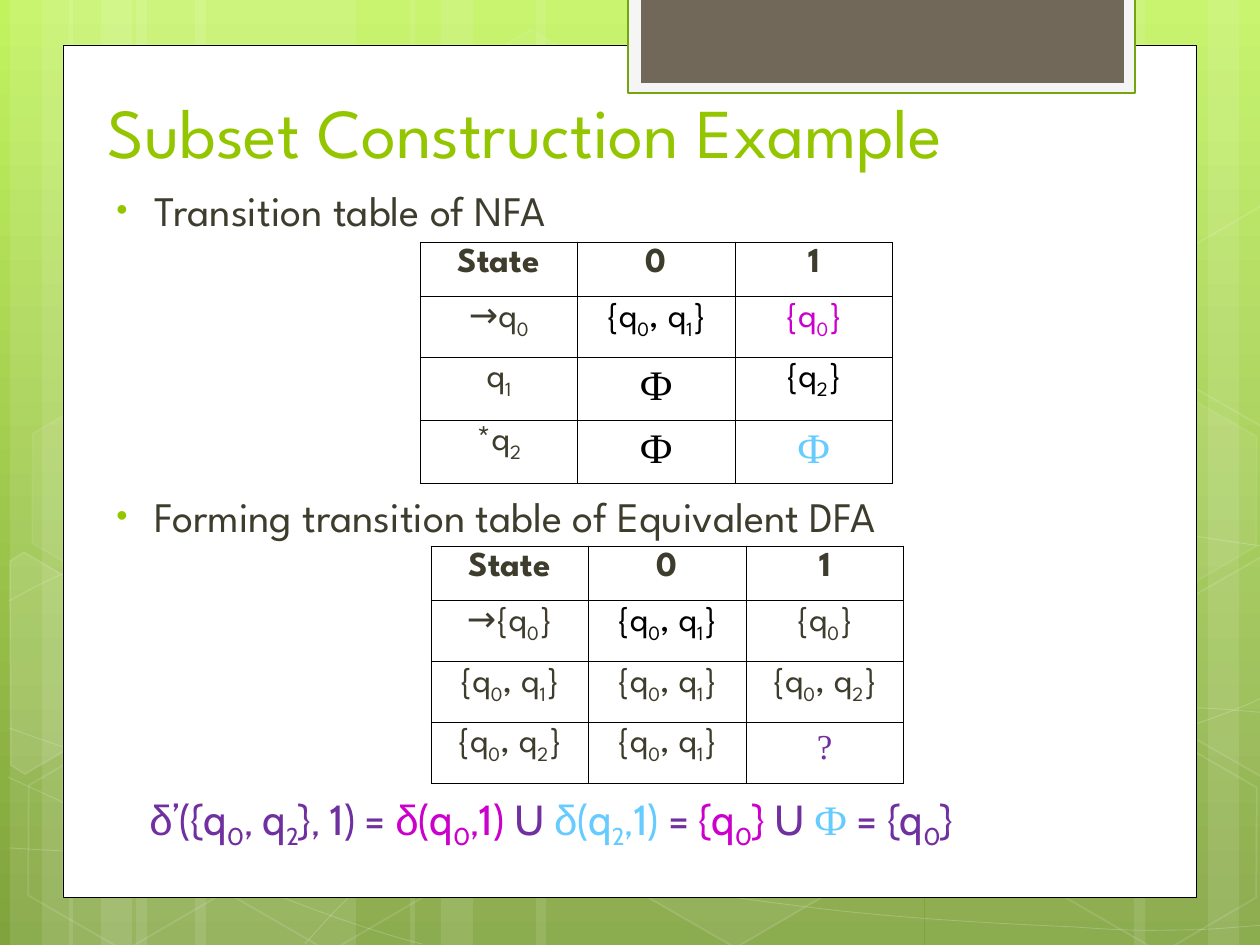
import math
from dataclasses import dataclass

from lxml import etree
from pptx import Presentation
from pptx import util as u
from pptx.dml.color import RGBColor
from pptx.enum import shapes, text
from pptx.oxml.ns import qn

SCALE = 914400 / 126


@dataclass(frozen=True)
class Theme:
    sky: str = "C2F35F"
    grass: str = "80A33D"
    white: str = "FFFFFF"
    black: str = "000000"
    tab_edge: str = "74A510"
    tab_rim: str = "F5F5F5"
    tab: str = "71685A"
    accent: str = "94C600"
    ink: str = "3E3D2D"
    purple: str = "7030A0"
    magenta: str = "CC00CC"
    blue: str = "66CCFF"
    heading: str = "League Spartan"
    formula: str = "Cabin"
    greek: str = "Arial"
    serif: str = "Times New Roman"
    title_size: int = 40
    body_size: int = 24
    cell_size: int = 20


T = Theme()
PHI = {"font": T.serif, "size": T.body_size}

NFA = [
    ["State", "0", "1"],
    ["→q_0", ("{q_0, q_1}", {"color": T.black}), ("{q_0}", {"color": T.magenta})],
    ["q_1", ("Ф", {**PHI, "color": T.black}), ("{q_2}", {"color": T.black})],
    ["*q_2", ("Ф", {**PHI, "color": T.black}), ("Ф", {**PHI, "color": T.blue})],
]
DFA = [
    ["State", "0", "1"],
    ["→{q_0}", ("{q_0, q_1}", {"color": T.black}), "{q_0}"],
    ["{q_0, q_1}", "{q_0, q_1}", "{q_0, q_2}"],
    ["{q_0, q_2}", "{q_0, q_1}", ("?", {"font": T.serif, "color": T.purple})],
]
FORMULA = [
    ("δ", T.greek, T.purple), ("’({q_0, q_2}, 1) = ", T.formula, T.purple),
    ("δ", T.greek, T.magenta), ("(q_0,1) ", T.formula, T.magenta),
    ("U ", T.formula, T.purple),
    ("δ", T.greek, T.blue), ("(q_2,1) ", T.formula, T.blue),
    ("= ", T.formula, T.purple), ("{q_0} ", T.formula, T.magenta),
    ("U ", T.formula, T.purple), ("Ф", T.serif, T.blue),
    (" = {q_0}", T.formula, T.purple),
]

# left, width, rotation
BANDS = [(136, 220, 0), (10, 63, 0), (42, 105, 0), (195, 220, 0), (69, 63, 0),
         (101, 105, 0), (925, 220, 180), (1208, 63, 180), (1134, 105, 180),
         (536, 388, 0), (410, 63, 0), (441, 105, 0)]
# start point, then segments: six numbers make a cubic curve, two a straight line
WAVES = [
    [(9, 848), (77, 852, 145, 856, 239, 854), (334, 853, 451, 851, 577, 838),
     (703, 825, 882, 801, 998, 777), (1113, 753, 1231, 716, 1269, 694)],
    [(9, 601), (45, 581, 82, 562, 152, 543), (224, 524, 326, 496, 437, 488),
     (549, 479, 685, 478, 824, 488), (963, 498, 1193, 537, 1269, 547)],
    [(8, 777), (160, 847, 311, 916, 422, 944)],
    [(9, 728), (48, 742, 88, 756, 161, 776), (234, 795, 344, 827, 450, 848),
     (554, 869, 687, 892, 791, 905), (896, 919, 1008, 924, 1075, 927),
     (1142, 932, 1158, 930, 1191, 930), (1223, 929, 1246, 926, 1269, 925)],
    [(305, 944), (328, 918, 350, 893, 381, 871), (411, 847, 454, 823, 489, 805),
     (524, 788, 546, 780, 591, 767), (638, 754, 722, 737, 766, 728),
     (811, 719, 818, 719, 857, 717), (896, 713, 958, 709, 1000, 708),
     (1045, 707, 1116, 708, 1116, 708), (1201, 708),
     (1223, 709, 1245, 711, 1256, 712), (1268, 713, 1264, 712, 1268, 713)],
]
# left, top, fill opacity, line opacity
HEXAGONS = [(421, 45, 4, 8), (625, 742, 6, 12), (14, 745, 0, 12), (18, 393, 7, 8),
            (219, 746, 0, 12), (949, 571, 10, 12), (1051, 747, 0, 12), (1051, 396, 7, 8)]
# centre, corner points, fill opacity
CUT_HEXAGONS = [
    ((45, 675), [(10, 561), (24, 552), (121, 609), (120, 718), (25, 774), (11, 765)], 10),
    ((1241, 655), [(1167, 611), (1263, 556), (1271, 562), (1271, 772), (1263, 777),
                   (1167, 722)], 4),
    ((1241, 304), [(1167, 261), (1263, 205), (1272, 212), (1271, 422), (1263, 427),
                   (1167, 372)], 0),
]


def px(*lengths):
    return [u.Emu(round(n * SCALE)) for n in lengths]


def rgb(color):
    return RGBColor.from_string(color)


def paint(fill, color, opacity=100):
    if not opacity:
        fill.background()
        return
    fill.solid()
    fill.fore_color.rgb = rgb(color)
    if opacity < 100:
        clr = fill._xPr.find(".//" + qn("a:srgbClr"))
        etree.SubElement(clr, qn("a:alpha"), val=str(opacity * 1000))


def finish(shape, color=T.white, opacity=100, edge=T.white, width=1, edge_opacity=0):
    shape.shadow.inherit = False
    paint(shape.fill, color, opacity)
    shape.line.width = u.Pt(width)
    paint(shape.line.fill, edge, edge_opacity)


def add_preset(slide, kind, box, rotation=0, **look):
    shape = slide.shapes.add_shape(kind, *px(*box))
    shape.rotation = rotation
    finish(shape, **look)
    return shape


def add_outline(slide, points, close):
    corners = [px(*point) for point in points]
    builder = slide.shapes.build_freeform(*corners[0], scale=1.0)
    builder.add_line_segments(corners[1:], close=close)
    return builder.convert_to_shape()


def add_wave(slide, start, *segments):
    """Lay all points as lines, then join each group of three into a curve."""
    points = [seg[i:i + 2] for seg in segments for i in range(0, len(seg), 2)]
    shape = add_outline(slide, [start, *points], False)
    lines = iter(list(shape.element.iter(qn("a:lnTo"))))
    for segment in segments:
        first = next(lines)
        if len(segment) == 6:
            first.tag = qn("a:cubicBezTo")
            for line in (next(lines), next(lines)):
                first.append(line[0])
                line.getparent().remove(line)
    finish(shape, opacity=0, width=0.5, edge_opacity=20)


def add_cut_hexagon(slide, centre, corners, opacity, turn=30):
    """Draw the corners turned back about the centre, then rotate the shape."""
    cos, sin = math.cos(math.radians(turn)), math.sin(math.radians(turn))
    cx, cy = centre
    upright = [(cx + (x - cx) * cos + (y - cy) * sin,
                cy - (x - cx) * sin + (y - cy) * cos) for x, y in corners]
    shape = add_outline(slide, upright, True)
    shape.rotation = turn
    finish(shape, opacity=opacity, edge_opacity=12)


def write(paragraph, markup, font=T.heading, size=T.body_size, color=T.ink, bold=False):
    """Add runs; the character after an underscore is a subscript."""
    first, *rest = markup.split("_")
    pieces = [(first, False)]
    for part in rest:
        pieces += [(part[0], True), (part[1:], False)]
    for words, lowered in pieces:
        if not words:
            continue
        run = paragraph.add_run()
        run.text = words
        for name, value in {"name": font, "size": u.Pt(size), "bold": bold}.items():
            setattr(run.font, name, value)
        run.font.color.rgb = rgb(color)
        if lowered:
            run.font._element.set("baseline", "-25000")


def add_text(slide, box):
    frame = slide.shapes.add_textbox(*px(*box)).text_frame
    frame.word_wrap = True
    return frame


def add_bullet(paragraph, words, space_before):
    paragraph.space_before = u.Pt(space_before)
    props = paragraph._p.get_or_add_pPr()
    for name, length in zip(("marL", "indent"), px(48, -38)):
        props.set(name, str(length))
    etree.SubElement(etree.SubElement(props, qn("a:buClr")), qn("a:srgbClr"), val=T.accent)
    etree.SubElement(props, qn("a:buSzPct"), val="76000")
    etree.SubElement(props, qn("a:buFont"), typeface=T.greek)
    etree.SubElement(props, qn("a:buChar"), char="•")
    write(paragraph, words)


def border(cell):
    props = cell._tc.get_or_add_tcPr()
    for i, side in enumerate(("a:lnL", "a:lnR", "a:lnT", "a:lnB")):
        line = etree.Element(qn(side), w=str(u.Pt(0.45)))
        solid = etree.SubElement(line, qn("a:solidFill"))
        etree.SubElement(solid, qn("a:srgbClr"), val=T.black)
        props.insert(i, line)


def add_transitions(slide, left, top, heights, rows):
    columns = len(rows[0])
    table = slide.shapes.add_table(
        len(rows), columns, *px(left, top, columns * 157.5, sum(heights))).table
    table.first_row = table.horz_banding = False
    for r, (height, row) in enumerate(zip(heights, rows)):
        table.rows[r].height = px(height)[0]
        for c, entry in enumerate(row):
            markup, look = entry if isinstance(entry, tuple) else (entry, {})
            cell = table.cell(r, c)
            cell.fill.background()
            border(cell)
            paragraph = cell.text_frame.paragraphs[0]
            paragraph.alignment = text.PP_ALIGN.CENTER
            write(paragraph, markup, **{"size": T.cell_size, "bold": r == 0, **look})


def add_backdrop(slide):
    fill = slide.background.fill
    fill.gradient()
    fill.gradient_angle = 270
    for stop, color in zip(fill.gradient_stops, (T.sky, T.grass)):
        stop.color.rgb = rgb(color)
    kinds = shapes.MSO_SHAPE
    for left, width, rotation in BANDS:
        add_preset(slide, kinds.RECTANGLE, (left, 0, width, 945), rotation, opacity=10)
    for wave in WAVES:
        add_wave(slide, *wave)
    for left, top, opacity, edge_opacity in HEXAGONS:
        hexagon = add_preset(slide, kinds.HEXAGON, (left, top, 220, 191), 30,
                             opacity=opacity, edge_opacity=edge_opacity)
        hexagon.adjustments[0] = 0.285
    for cut in CUT_HEXAGONS:
        add_cut_hexagon(slide, *cut)
    add_preset(slide, kinds.RECTANGLE, (63, 45, 1134, 853),
               edge=T.black, width=0.5, edge_opacity=100)
    add_preset(slide, kinds.RECTANGLE, (628, -3, 507, 96), color=T.tab_rim,
               edge=T.tab_edge, width=1.25, edge_opacity=100)
    add_preset(slide, kinds.RECTANGLE, (641, -3, 483, 86), color=T.tab)


def set_title(slide, words):
    title = slide.shapes.title
    title.element.getparent().append(title.element)  # bring in front of the card
    title.left, title.top, title.width, title.height = px(95, 21, 1017, 158)
    frame = title.text_frame
    for name, value in {"vertical_anchor": text.MSO_ANCHOR.BOTTOM, "word_wrap": True,
                        "auto_size": text.MSO_AUTO_SIZE.NONE}.items():
        setattr(frame, name, value)
    frame.paragraphs[0].alignment = text.PP_ALIGN.LEFT
    write(frame.paragraphs[0], words, size=T.title_size, color=T.accent)


def main():
    deck = Presentation()
    deck.slide_width, deck.slide_height = px(1260, 945)
    slide = deck.slides.add_slide(deck.slide_layouts[5])
    add_backdrop(slide)
    set_title(slide, "Subset Construction Example")
    body = add_text(slide, (94, 178, 1081, 620))
    add_bullet(body.paragraphs[0], "Transition table of NFA", 6)
    add_bullet(body.add_paragraph(), "Forming transition table of Equivalent DFA", 146)
    add_transitions(slide, 431, 546, (54, 61, 60, 61), DFA)
    add_transitions(slide, 420, 242, (54, 60, 63, 63), NFA)
    formula = add_text(slide, (137, 787, 1071, 70)).paragraphs[0]
    for markup, font, color in FORMULA:
        write(formula, markup, font=font, color=color)
    deck.save("out.pptx")


if __name__ == "__main__":
    main()
